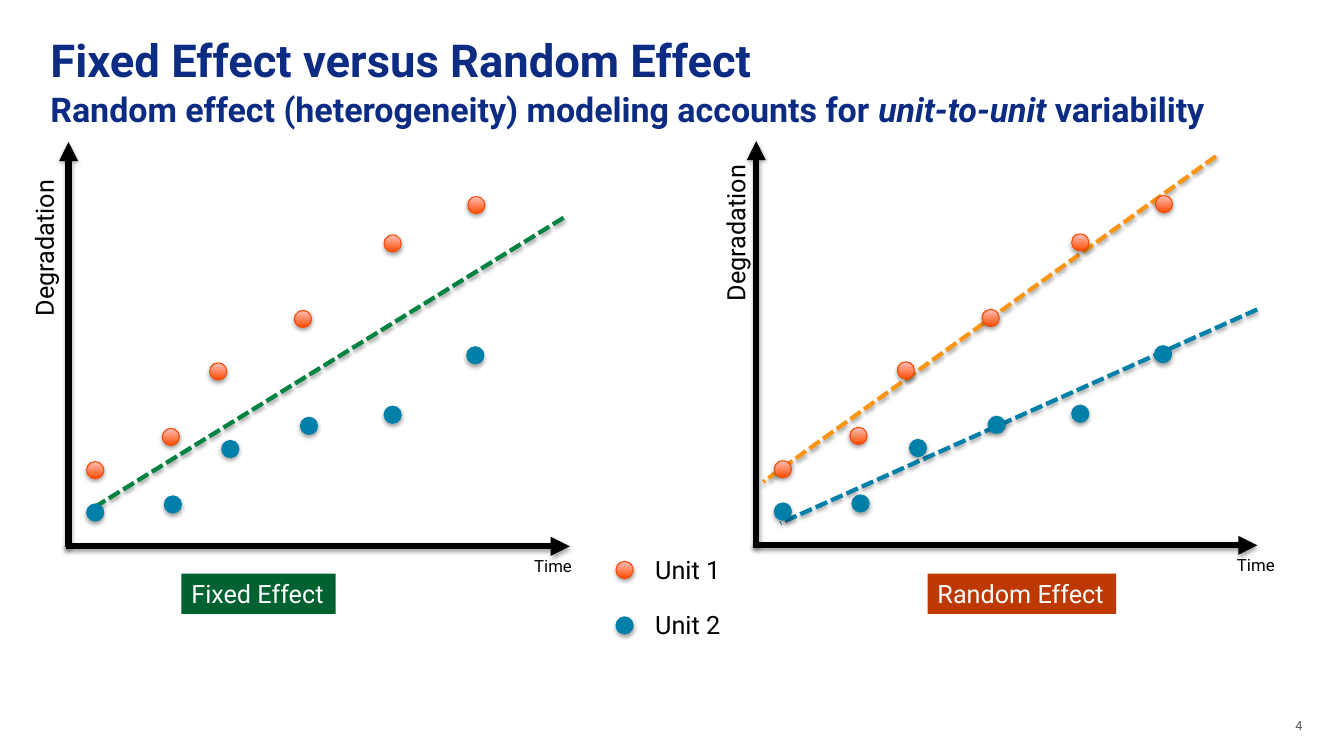
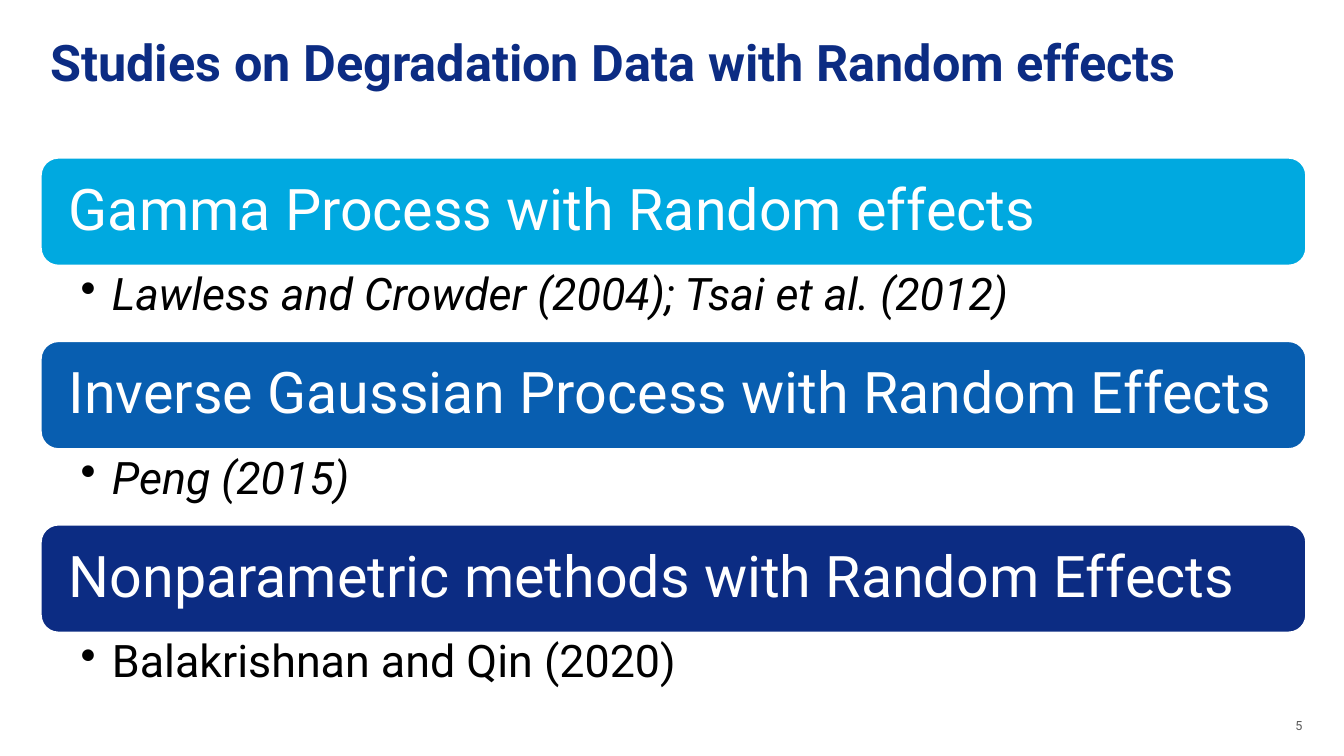
from lxml import etree
from pptx import Presentation
from pptx.dml.color import RGBColor
from pptx.enum.dml import MSO_LINE
from pptx.enum.shapes import MSO_CONNECTOR, MSO_SHAPE
from pptx.enum.text import MSO_ANCHOR, MSO_AUTO_SIZE, PP_ALIGN
from pptx.oxml.ns import qn
from pptx.util import Inches, Pt

STRAIGHT = MSO_CONNECTOR.STRAIGHT
OVAL, ROUNDED = MSO_SHAPE.OVAL, MSO_SHAPE.ROUNDED_RECTANGLE
DASHED = MSO_LINE.SQUARE_DOT
TOP, MIDDLE = MSO_ANCHOR.TOP, MSO_ANCHOR.MIDDLE
LEFT, NO_FIT = PP_ALIGN.LEFT, MSO_AUTO_SIZE.NONE

FONT = "Roboto"
NAVY = RGBColor(0x0C, 0x2C, 0x83)
BLUE = RGBColor(0x08, 0x5E, 0xB0)
CYAN = RGBColor(0x00, 0xA9, 0xE0)
TEAL = RGBColor(0x00, 0x7F, 0xA8)
GREEN = RGBColor(0x00, 0x82, 0x40)
DARK_GREEN = RGBColor(0x00, 0x62, 0x30)
AMBER = RGBColor(0xFA, 0x96, 0x14)
RUST = RGBColor(0xBD, 0x39, 0x01)
ORANGE = RGBColor(0xFE, 0x4B, 0x00)
ORANGE_EDGE = RGBColor(0xF8, 0x4A, 0x00)
PINK = RGBColor(0xFF, 0xC0, 0xBB)
GRAY = RGBColor(0x5A, 0x5A, 0x5A)
BLACK = RGBColor(0, 0, 0)
WHITE = RGBColor(0xFF, 0xFF, 0xFF)


def add_shadow(shape):
    """Give a shape or connector a soft shadow straight below it."""
    properties = shape._element.spPr
    effects = properties.find(qn("a:effectLst"))
    if effects is None:
        effects = etree.SubElement(properties, qn("a:effectLst"))
    shadow = etree.SubElement(effects, qn("a:outerShdw"), blurRad="40000",
                              dist="21000", dir="5400000", rotWithShape="0")
    color = etree.SubElement(shadow, qn("a:srgbClr"), val="000000")
    etree.SubElement(color, qn("a:alpha"), val="37000")


def add_text(slide, box, text, size, color=BLACK, wrap=False):
    """Add a one-paragraph text box; box is left, top, width, height in inches."""
    shape = slide.shapes.add_textbox(*map(Inches, box))
    frame = shape.text_frame
    frame.word_wrap = wrap
    frame.text = text
    font = frame.paragraphs[0].runs[0].font
    font.name, font.size, font.color.rgb = FONT, Pt(size), color
    return shape


presentation = Presentation()
presentation.slide_width = Inches(13.33)
presentation.slide_height = Inches(7.5)
title_layout = presentation.slide_layouts[5]

# Titles and slide numbers: each title line is a size and its (text, italic) runs
TITLES = [
    (4, [(32.4, [("Fixed Effect versus Random Effect", False)]),
         (24.3, [("Random effect (heterogeneity) modeling accounts for ", False),
                 ("unit-to-unit", True), (" variability", False)])]),
    (5, [(36, [("Studies on Degradation Data with Random effects", False)])]),
]
for number, lines in TITLES:
    slide = presentation.slides.add_slide(title_layout)
    title = slide.shapes.title
    title.left, title.top = Inches(0.4), Inches(0.35)
    title.width, title.height = Inches(12.56), Inches(0.78)
    frame = title.text_frame
    frame.word_wrap, frame.auto_size, frame.vertical_anchor = True, NO_FIT, TOP
    for index, (size, runs) in enumerate(lines):
        paragraph = frame.add_paragraph() if index else frame.paragraphs[0]
        paragraph.alignment, paragraph.line_spacing = LEFT, 0.85
        paragraph.space_before = Pt(6 * index)
        for text, italic in runs:
            run = paragraph.add_run()
            run.text = text
            font = run.font
            font.name, font.size, font.color.rgb = FONT, Pt(size), NAVY
            font.bold, font.italic = True, italic
    add_text(slide, (12.75, 7.07, 0.51, 0.28), str(number), 9, GRAY, wrap=True)

effects_slide, studies_slide = presentation.slides

# Fixed and random effect charts: both show the same measurements
UNIT_1 = [(0.86, 4.58), (1.61, 4.25), (2.08, 3.6), (2.92, 3.08), (3.81, 2.33), (4.64, 1.95)]
UNIT_2 = [(0.86, 5), (1.63, 4.92), (2.2, 4.37), (2.98, 4.14), (3.81, 4.03), (4.63, 3.44)]
CHART_ORIGINS = [(0, 0), (6.82, -0.01)]
DOT = Inches(0.17)

# Trend lines, then axes: start, end, colour, whether it is an axis
lines = [
    ((5.59, 2.16), (0.94, 5.03), GREEN, False),
    ((12.06, 1.55), (7.57, 4.78), AMBER, False),
    ((12.47, 3.07), (7.74, 5.19), TEAL, False),
]
dots = [(6.11, 5.57, True), (6.11, 6.12, False)]  # legend markers
for x, y in CHART_ORIGINS:
    lines.append(((x + 0.68, y + 5.43), (x + 0.68, y + 1.41), BLACK, True))
    lines.append(((x + 0.65, y + 5.42), (x + 5.65, y + 5.42), BLACK, True))
    for points, is_unit_1 in ((UNIT_1, True), (UNIT_2, False)):
        dots += [(x + left, y + top, is_unit_1) for left, top in points]

for start, end, color, is_axis in lines:
    connector = effects_slide.shapes.add_connector(STRAIGHT, *map(Inches, start + end))
    connector.line.color.rgb = color
    connector.line.width = Pt(4.5 if is_axis else 3)
    if is_axis:
        etree.SubElement(connector.line._get_or_add_ln(), qn("a:tailEnd"), type="triangle")
    else:
        connector.line.dash_style = DASHED
    add_shadow(connector)

for left, top, is_unit_1 in dots:
    dot = effects_slide.shapes.add_shape(OVAL, Inches(left), Inches(top), DOT, DOT)
    if is_unit_1:
        dot.fill.gradient()
        dot.fill.gradient_angle = 90
        for stop, color in zip(dot.fill.gradient_stops, (ORANGE, PINK)):
            stop.color.rgb = color
    else:
        dot.fill.solid()
        dot.fill.fore_color.rgb = TEAL
    dot.line.color.rgb = ORANGE_EDGE if is_unit_1 else TEAL
    dot.line.width = Pt(0.75)
    dot.shadow.inherit = False
    add_shadow(dot)

# Legend and axis labels
for text, box, size in [
    ("Unit 1", (6.4, 5.45, 0.85, 0.4), 18),
    ("Unit 2", (6.4, 6, 0.85, 0.4), 18),
    ("Time", (5.2, 5.46, 0.58, 0.3), 12),
    ("Time", (12.17, 5.45, 0.58, 0.3), 12),
]:
    add_text(effects_slide, box, text, size)
for left, top in [(-0.35, 2.25), (6.51, 2.1)]:
    label = add_text(effects_slide, (left, top, 1.57, 0.4), "Degradation", 18)
    label.rotation = 270

# Chart name tags
for text, left, width, color in [
    ("Fixed Effect", 1.8, 1.53, DARK_GREEN),
    ("Random Effect", 9.2, 1.87, RUST),
]:
    tag = add_text(effects_slide, (left, 5.69, width, 0.4), text, 18, WHITE)
    tag.fill.solid()
    tag.fill.fore_color.rgb = color

# Study groups: a coloured band with its references below
STUDIES = [
    ("Gamma Process with Random effects",
     "Lawless and Crowder (2004); Tsai et al. (2012)", CYAN, True),
    ("Inverse Gaussian Process with Random Effects", "Peng (2015)", BLUE, True),
    ("Nonparametric methods with Random Effects",
     "Balakrishnan and Qin (2020)", NAVY, False),
]
BAND_LEFT, BAND_WIDTH, BAND_HEIGHT = 0.4, 12.56, 1.08
for index, (method, reference, color, italic) in enumerate(STUDIES):
    top = 1.56 + 1.82 * index
    band = studies_slide.shapes.add_shape(
        ROUNDED, Inches(BAND_LEFT), Inches(top), Inches(BAND_WIDTH), Inches(BAND_HEIGHT))
    band.shadow.inherit = False
    band.fill.solid()
    band.fill.fore_color.rgb = color
    band.line.color.rgb, band.line.width = WHITE, Pt(2)
    frame = band.text_frame
    frame.word_wrap, frame.vertical_anchor = True, MIDDLE
    frame.margin_left = frame.margin_right = Inches(0.23)
    frame.text = method
    paragraph = frame.paragraphs[0]
    paragraph.alignment, paragraph.line_spacing = LEFT, 0.9
    font = paragraph.runs[0].font
    font.name, font.size, font.color.rgb = FONT, Pt(41), WHITE

    box = (BAND_LEFT, top + BAND_HEIGHT, BAND_WIDTH, 0.74)
    frame = add_text(studies_slide, box, reference, 32, wrap=True).text_frame
    frame.margin_left, frame.margin_right = Inches(0.4), Inches(0.32)
    frame.margin_top = frame.margin_bottom = Inches(0.06)
    paragraph = frame.paragraphs[0]
    paragraph.line_spacing = 0.9
    paragraph.runs[0].font.italic = italic
    properties = paragraph._p.get_or_add_pPr()
    properties.set("marL", str(Inches(0.31)))
    properties.set("indent", str(-Inches(0.31)))
    etree.SubElement(properties, qn("a:buChar"), char="•")

presentation.save("out.pptx")
